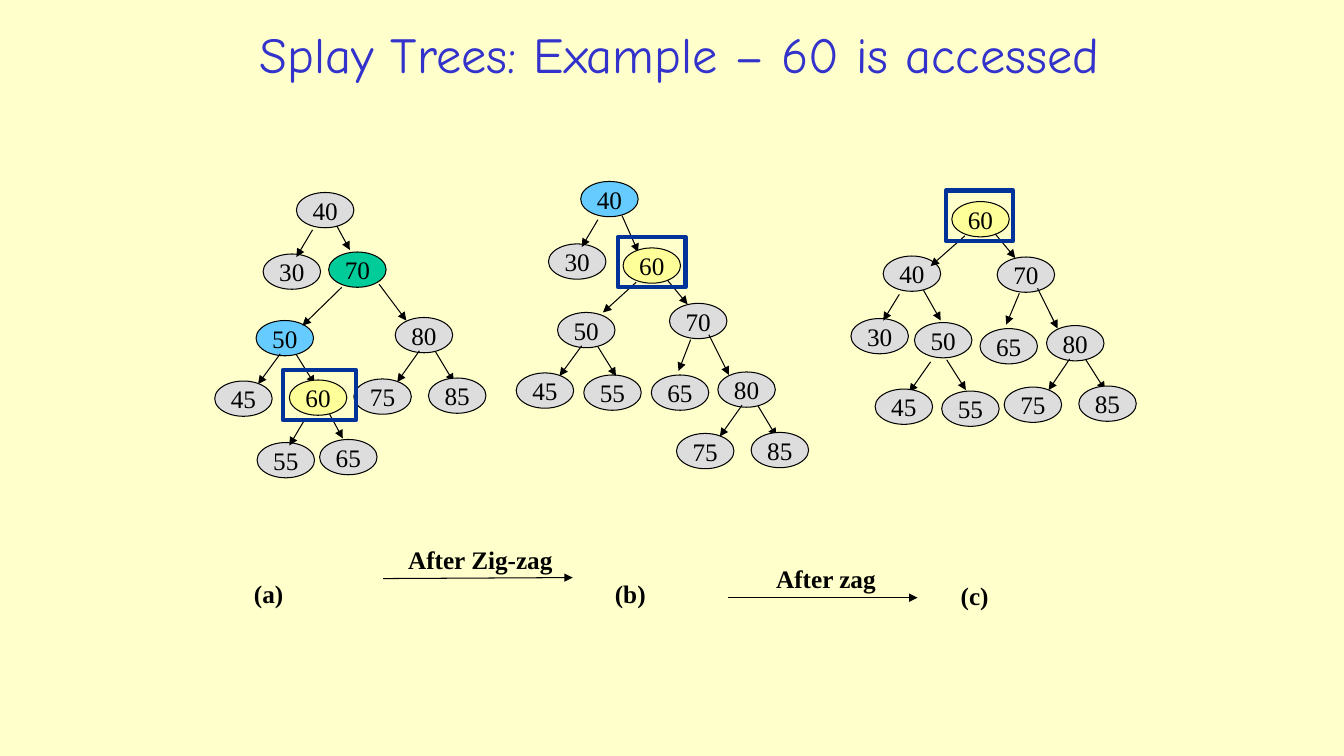
from pptx import Presentation
from pptx.dml.color import RGBColor
from pptx.enum.shapes import MSO_CONNECTOR, MSO_SHAPE
from pptx.enum.text import MSO_ANCHOR, MSO_AUTO_SIZE, PP_ALIGN
from pptx.oxml.ns import qn
from pptx.util import Inches, Pt
from lxml.etree import SubElement

COLORS = {
    "background": "FFFFCC", "title": "3333CC", "ink": "000000", "frame": "003399",
    "plain": "DDDDDD", "accessed": "FFFF99", "parent": "66CCFF", "grandparent": "00CC99",
}
SERIF = "Times New Roman"
NODE_WIDTH, NODE_HEIGHT = 0.57, 0.35
# Keys whose ellipse covers the head of the arrow that reaches it
COVERING_KEYS = {45, 60, 75, 80, 85}

# Each node: key, left, top, role, arrow from its parent (x1, y1, x2, y2)
TREE_A = [
    (40, 2.94, 1.91, "plain", None),
    (30, 2.61, 2.52, "plain", (3.10, 2.28, 2.94, 2.55)),
    (70, 3.26, 2.50, "grandparent", (3.34, 2.24, 3.47, 2.48)),
    (50, 2.54, 3.18, "parent", (3.39, 2.85, 3.00, 3.23)),
    (45, 2.13, 3.78, "plain", (2.78, 3.51, 2.56, 3.81)),
    (60, 2.87, 3.77, "accessed", (2.94, 3.52, 3.12, 3.81)),
    (55, 2.55, 4.39, "plain", (3.03, 4.15, 2.87, 4.42)),
    (65, 3.17, 4.36, "plain", (3.27, 4.11, 3.40, 4.35)),
    (80, 3.92, 3.15, "plain", (3.76, 2.82, 4.03, 3.18)),
    (75, 3.51, 3.76, "plain", (4.16, 3.48, 3.94, 3.79)),
    (85, 4.25, 3.75, "plain", (4.32, 3.49, 4.50, 3.79)),
]
TREE_B = [
    (40, 5.76, 1.80, "parent", None),
    (30, 5.44, 2.42, "plain", (5.93, 2.18, 5.77, 2.45)),
    (60, 6.18, 2.46, "accessed", (6.17, 2.14, 6.33, 2.50)),
    (50, 5.53, 3.10, "plain", (6.31, 2.80, 5.98, 3.10)),
    (45, 5.12, 3.70, "plain", (5.77, 3.43, 5.55, 3.73)),
    (55, 5.79, 3.72, "plain", (5.93, 3.44, 6.11, 3.73)),
    (70, 6.64, 3.01, "plain", (6.62, 2.78, 6.82, 3.02)),
    (65, 6.46, 3.72, "plain", (6.85, 3.37, 6.73, 3.68)),
    (80, 7.12, 3.69, "plain", (7.03, 3.32, 7.23, 3.72)),
    (75, 6.71, 4.30, "plain", (7.36, 4.02, 7.14, 4.33)),
    (85, 7.45, 4.29, "plain", (7.52, 4.03, 7.70, 4.33)),
]
TREE_C = [
    (60, 9.44, 2.00, "accessed", None),
    (40, 8.76, 2.54, "plain", (9.57, 2.34, 9.23, 2.64)),
    (30, 8.44, 3.16, "plain", (8.92, 2.92, 8.76, 3.18)),
    (50, 9.07, 3.20, "plain", (9.16, 2.88, 9.33, 3.18)),
    (45, 8.68, 3.86, "plain", (9.23, 3.59, 9.02, 3.89)),
    (55, 9.34, 3.88, "plain", (9.39, 3.57, 9.58, 3.87)),
    (70, 9.89, 2.55, "plain", (9.87, 2.32, 10.07, 2.56)),
    (65, 9.72, 3.26, "plain", (10.11, 2.91, 9.98, 3.22)),
    (80, 10.38, 3.23, "plain", (10.29, 2.86, 10.49, 3.26)),
    (75, 9.96, 3.84, "plain", (10.61, 3.56, 10.40, 3.87)),
    (85, 10.70, 3.83, "plain", (10.77, 3.57, 10.96, 3.87)),
]
# Each tree with the left, top and width of the frame around the accessed node
TREES = [
    (TREE_A, (2.81, 3.67, 0.72)),
    (TREE_B, (6.13, 2.35, 0.67)),
    (TREE_C, (9.38, 1.89, 0.67)),
]
LABELS = [
    ("(a)", 2.42, 5.69, 0.49),
    ("(b)", 6.00, 5.69, 0.51),
    ("(c)", 9.43, 5.71, 0.48),
    ("After Zig-zag", 3.95, 5.35, 1.64),
    ("After zag", 7.60, 5.54, 1.20),
]
STEP_ARROWS = [(3.80, 5.74, 5.68, 5.73), (7.22, 5.93, 9.10, 5.93)]


def color(name):
    return RGBColor.from_string(COLORS[name])


def write_text(shape, text, font=SERIF, size=18, ink="ink", bold=False,
               align=PP_ALIGN.LEFT, anchor=MSO_ANCHOR.TOP, wrap=False):
    frame = shape.text_frame
    frame.word_wrap = wrap
    frame.vertical_anchor = anchor
    paragraph = frame.paragraphs[0]
    paragraph.alignment = align
    run = paragraph.add_run()
    run.text = text
    run.font.name = font
    run.font.size = Pt(size)
    run.font.bold = bold
    run.font.color.rgb = color(ink)


def add_title(slide, text):
    box = slide.shapes.add_textbox(Inches(1.97), Inches(0.15), Inches(9.54), Inches(0.76))
    write_text(box, text, font="Comic Neue", size=36, ink="title",
               align=PP_ALIGN.CENTER, anchor=MSO_ANCHOR.MIDDLE, wrap=True)


def add_label(slide, text, left, top, width):
    box = slide.shapes.add_textbox(Inches(left), Inches(top), Inches(width), Inches(0.4))
    write_text(box, text, bold=True)
    box.text_frame.auto_size = MSO_AUTO_SIZE.SHAPE_TO_FIT_TEXT


def add_arrow(slide, x1, y1, x2, y2):
    connector = slide.shapes.add_connector(
        MSO_CONNECTOR.STRAIGHT, Inches(x1), Inches(y1), Inches(x2), Inches(y2))
    connector.line.color.rgb = color("ink")
    connector.line.width = Pt(0.75)
    SubElement(connector.line._get_or_add_ln(), qn("a:tailEnd"), type="triangle")
    SubElement(connector._element.spPr, qn("a:effectLst"))


def add_node(slide, key, left, top, role):
    ellipse = slide.shapes.add_shape(
        MSO_SHAPE.OVAL, Inches(left), Inches(top), Inches(NODE_WIDTH), Inches(NODE_HEIGHT))
    ellipse.shadow.inherit = False
    ellipse.fill.solid()
    ellipse.fill.fore_color.rgb = color(role)
    ellipse.line.color.rgb = color("ink")
    ellipse.line.width = Pt(0.75)
    write_text(ellipse, str(key), align=PP_ALIGN.CENTER, anchor=MSO_ANCHOR.MIDDLE)


def add_frame(slide, left, top, width):
    frame = slide.shapes.add_shape(
        MSO_SHAPE.RECTANGLE, Inches(left), Inches(top), Inches(width), Inches(0.5))
    frame.shadow.inherit = False
    frame.fill.background()
    frame.line.color.rgb = color("frame")
    frame.line.width = Pt(3)


def add_tree(slide, nodes, frame):
    for key, left, top, role, arrow in nodes:
        covers_arrow = key in COVERING_KEYS
        if arrow and covers_arrow:
            add_arrow(slide, *arrow)
        add_node(slide, key, left, top, role)
        if arrow and not covers_arrow:
            add_arrow(slide, *arrow)
    add_frame(slide, *frame)


def main():
    presentation = Presentation()
    presentation.slide_width = Inches(13.33)
    presentation.slide_height = Inches(7.5)
    slide = presentation.slides.add_slide(presentation.slide_layouts[6])
    slide.background.fill.solid()
    slide.background.fill.fore_color.rgb = color("background")

    add_title(slide, "Splay Trees: Example – 60 is accessed")
    for nodes, frame in TREES:
        add_tree(slide, nodes, frame)
    for label in LABELS:
        add_label(slide, *label)
    for arrow in STEP_ARROWS:
        add_arrow(slide, *arrow)
    presentation.save("out.pptx")


if __name__ == "__main__":
    main()
